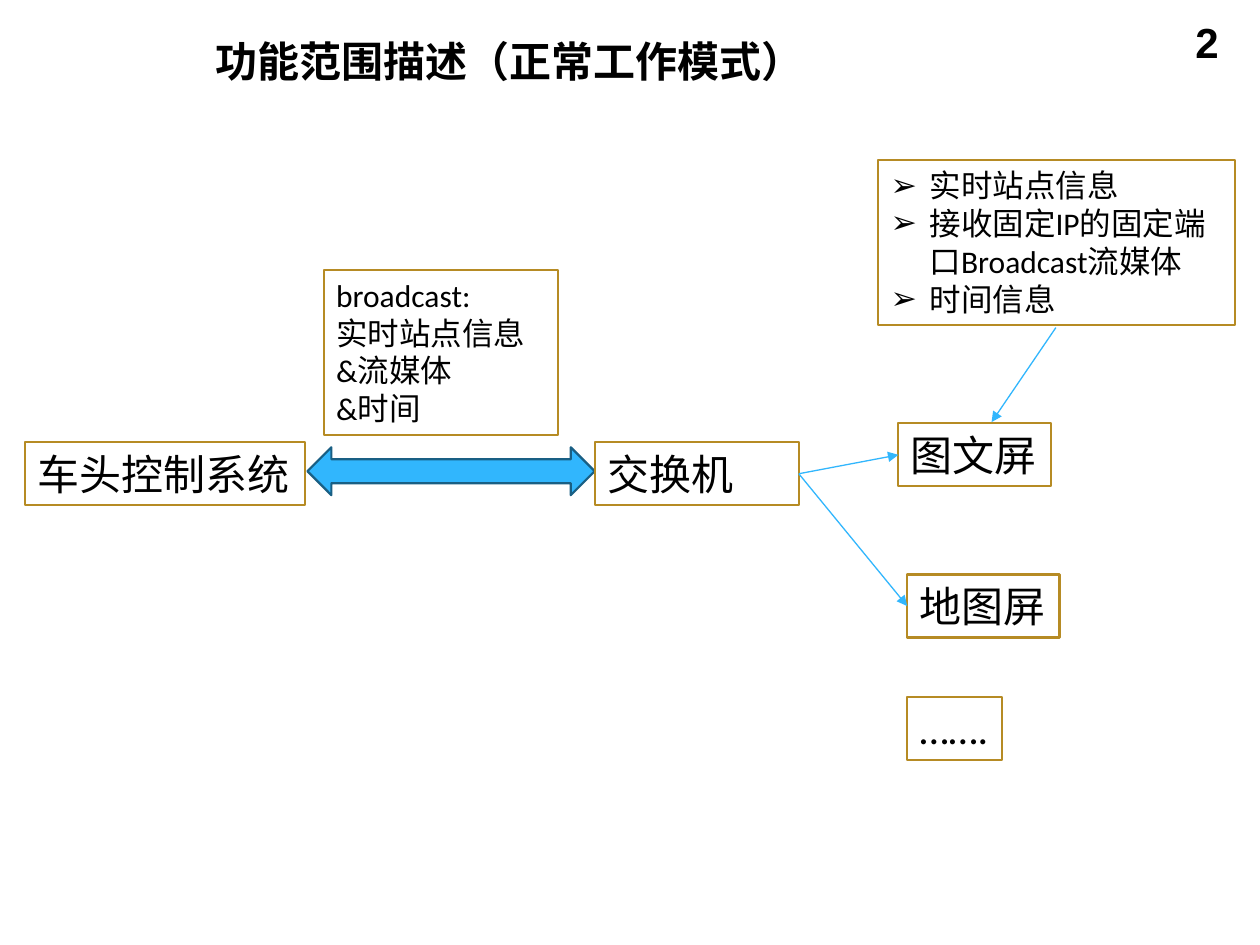
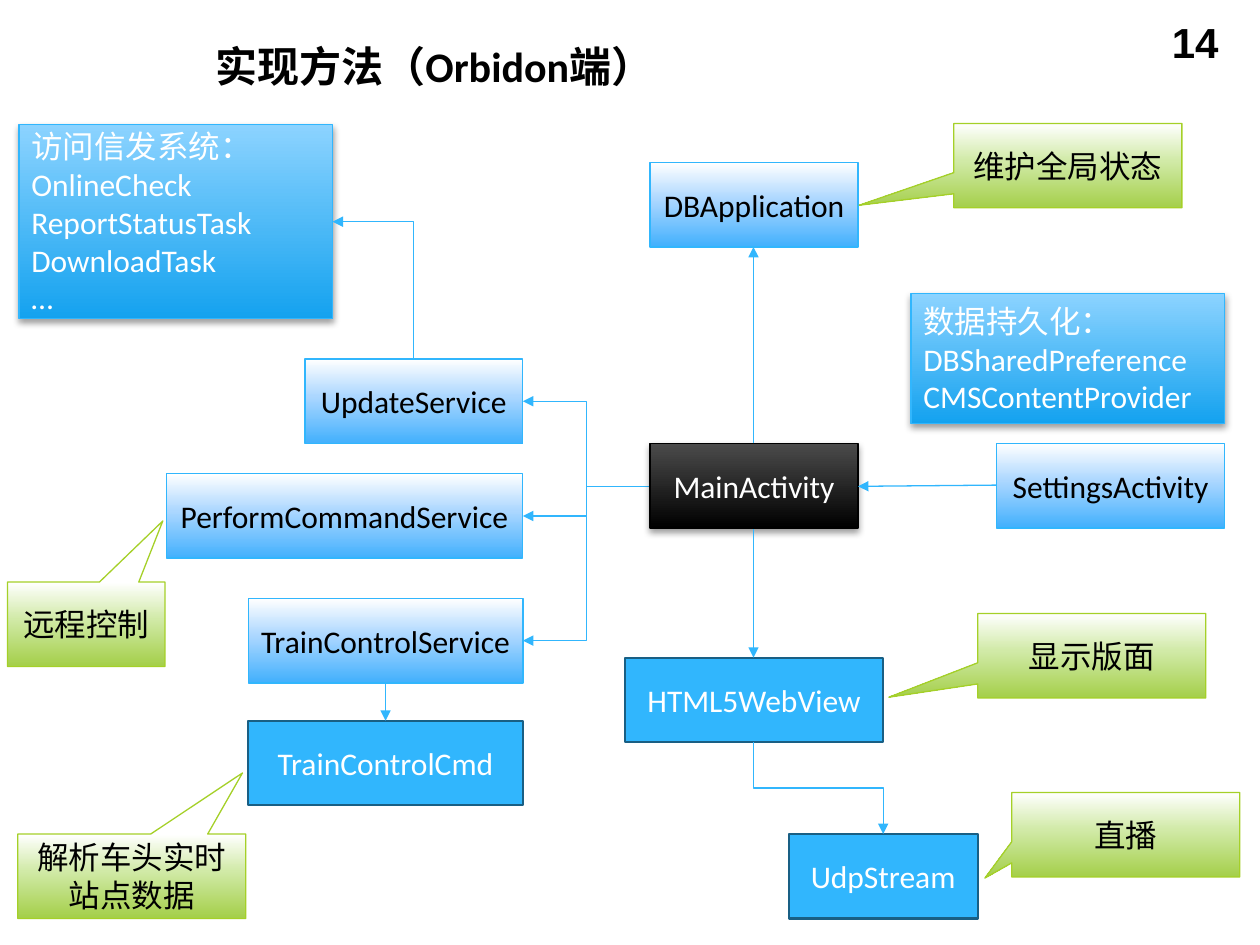
import dataclasses
import typing

import pptx
import pptx.dml.color
import pptx.enum.shapes
import pptx.enum.text
import pptx.oxml.ns
import pptx.util
from lxml import etree

Inches = pptx.util.Inches
Pt = pptx.util.Pt
qn = pptx.oxml.ns.qn
Kind = pptx.enum.shapes.MSO_SHAPE
Wire = pptx.enum.shapes.MSO_CONNECTOR
Align = pptx.enum.text.PP_ALIGN
Anchor = pptx.enum.text.MSO_ANCHOR
Fit = pptx.enum.text.MSO_AUTO_SIZE

BLUE, NAVY, GOLD, LIME = "31B6FD", "195F84", "B68B24", "A5D028"
BLACK, WHITE = "000000", "FFFFFF"
HIGH = 0.67


@dataclasses.dataclass
class Look:
    """Fill stops, outline and text colour of a box."""
    stops: list
    edge: str
    ink: str = BLACK
    width: float = 0.75
    shade: bool = False


PLAIN = Look([(0, WHITE)], GOLD, width=1.25)
SOLID = Look([(0, BLUE)], NAVY, WHITE, 1.25)
PALE = Look([(0, WHITE), (44, "ACD7FF"), (100, "42B0FD")], BLUE)
GREEN = Look([(0, WHITE), (44, "D1EAA7"), (100, "A4CF4A")], LIME)
DARK = Look([(0, "4B4B4B"), (100, BLACK)], BLACK, WHITE, shade=True)
SKY = Look([(0, "8CD3FF"), (100, "14A2EF")], BLUE, WHITE, shade=True)


def color(code):
    """Turn a hex string into a colour."""
    return pptx.dml.color.RGBColor.from_string(code)


def add(node, tag, **attrs):
    """Append an XML child with attributes."""
    return etree.SubElement(node, qn(tag), {k: str(v) for k, v in attrs.items()})


def write(frame, text, size, ink, face="Calibri", bold=False, align=Align.LEFT):
    """Fill a text frame and format its paragraphs."""
    frame.text = text
    for para in frame.paragraphs:
        para.alignment = align
        para.font.size = Pt(size)
        para.font.name = face
        para.font.bold = bold
        para.font.color.rgb = color(ink)


def paint(shape, look):
    """Apply a look to a shape."""
    shape.shadow.inherit = False
    props = shape._element.spPr
    if len(look.stops) == 1:
        shape.fill.solid()
        shape.fill.fore_color.rgb = color(look.stops[0][1])
    else:
        shape.fill.gradient()
        shape.fill.gradient_angle = 270
        stops = props.find(".//" + qn("a:gsLst"))
        for old in list(stops):
            stops.remove(old)
        for place, code in look.stops:
            add(add(stops, "a:gs", pos=place * 1000), "a:srgbClr", val=code)
    shape.line.color.rgb = color(look.edge)
    shape.line.width = Pt(look.width)
    if look.shade:
        cast = add(props.find(qn("a:effectLst")), "a:outerShdw", blurRad=Pt(4),
                   dist=Pt(2), dir=5400000, rotWithShape=0)
        add(add(cast, "a:srgbClr", val=BLACK), "a:alpha", val=38000)


@dataclasses.dataclass
class Area:
    """A region of a slide with its own origin."""
    slide: typing.Any
    x: float
    y: float

    def shape(self, kind, look, x, y, w, h):
        """Add a painted shape."""
        item = self.slide.shapes.add_shape(
            kind, Inches(self.x + x), Inches(self.y + y), Inches(w), Inches(h))
        paint(item, look)
        return item

    def label(self, text, x, y, w, h=0.5, size=24, wrap=False):
        """Add a gold-edged text box."""
        item = self.shape(Kind.RECTANGLE, PLAIN, x, y, w, h)
        frame = item.text_frame
        write(frame, text, size, BLACK)
        frame.vertical_anchor = Anchor.TOP
        frame.word_wrap = wrap
        frame.auto_size = Fit.SHAPE_TO_FIT_TEXT
        return item

    def step(self, text, look, x, y, w, h=HIGH, align=Align.CENTER,
             kind=Kind.FLOWCHART_PROCESS):
        """Add a flow box."""
        item = self.shape(kind, look, x, y, w, h)
        write(item.text_frame, text, 18, look.ink, align=align)
        item.text_frame.vertical_anchor = Anchor.MIDDLE
        return item

    def hint(self, text, x, y, tip, w=1.81):
        """Add a green callout."""
        item = self.step(text, GREEN, x, y, w, kind=Kind.RECTANGULAR_CALLOUT)
        item.adjustments[0], item.adjustments[1] = tip

    def link(self, start, end, kind=Wire.STRAIGHT):
        """Add an arrow between two points."""
        ends = [Inches(v) for v in (self.x + start[0], self.y + start[1],
                                    self.x + end[0], self.y + end[1])]
        line = self.slide.shapes.add_connector(kind, *ends)
        line.line.color.rgb = color(BLUE)
        line.line.width = Pt(0.75)
        props = line._element.spPr
        add(props.find(qn("a:ln")), "a:tailEnd", type="triangle")
        add(props, "a:effectLst")
        return line

    def drop(self, start, end, bend="bentConnector3"):
        """Add an elbow arrow that leaves its start vertically."""
        line = self.link(start, end, Wire.ELBOW)
        wide, tall = line.width, line.height
        line.left += (wide - tall) // 2
        line.top += (tall - wide) // 2
        line.width, line.height = tall, wide
        props = line._element.spPr
        props.find(qn("a:prstGeom")).set("prst", bend)
        frame = props.find(qn("a:xfrm"))
        frame.set("rot", "16200000")
        frame.set("flipH", str(int(end[1] > start[1])))
        frame.set("flipV", str(int(end[0] < start[0])))


def page(deck, title, number, top, width, face):
    """Add a slide with its title and page number."""
    slide = deck.slides.add_slide(deck.slide_layouts[5])
    head = slide.shapes.title
    head.left, head.top = Inches(1.61), Inches(top)
    head.width, head.height = Inches(width), Inches(0.55)
    write(head.text_frame, title, 24, BLACK, face, True)
    head.text_frame.vertical_anchor = Anchor.MIDDLE
    head.text_frame.auto_size = Fit.NONE
    mark = slide.shapes.add_textbox(
        Inches(7.44), Inches(0.08), Inches(2.33), Inches(0.52))
    mark.text_frame.word_wrap = True
    write(mark.text_frame, number, 24, BLACK, "Arial", True, Align.RIGHT)
    return slide


def trunk(area):
    """Draw the control system, the switch and the traffic between them."""
    area.label("车头控制系统", 0, 1.37, 2.22)
    area.shape(Kind.LEFT_RIGHT_ARROW, SOLID, 2.24, 1.41, 2.28, 0.38)
    area.label("broadcast:\v实时站点信息&流媒体\v&时间",
               2.37, 0, 1.86, 1.31, 18, True)
    area.label("交换机", 4.52, 1.37, 1.62, wrap=True)


def screens(area):
    """Draw the screens fed by the switch and their bulleted note."""
    note = area.label("实时站点信息\n接收固定IP的固定端口Broadcast流媒体\n时间信息",
                      0.63, 0, 2.83, 1.31, 18, True)
    for para in note.text_frame.paragraphs:
        props = para._p.get_or_add_pPr()
        props.set("marL", str(Inches(0.31)))
        props.set("indent", str(-Inches(0.31)))
        props.insert(0, etree.Element(qn("a:buFont"), typeface="Arial"))
        props.insert(1, etree.Element(qn("a:buChar"), char="➢"))
    area.label("图文屏", 0.79, 2.09, 1.21)
    area.label("地图屏", 0.86, 3.29, 1.21)
    area.label("…….", 0.86, 4.26, 0.75)
    area.link((2.04, 1.33), (1.53, 2.08))
    for end in ((0.79, 2.34), (0.86, 3.54)):
        area.link((0, 2.49), end)


def services(area):
    """Draw the background services and what they reach."""
    edge = 4.15
    area.step("访问信发系统：\vOnlineCheck\vReportStatusTask\vDownloadTask\v…",
              SKY, 0.15, 0, 2.49, 1.54, Align.LEFT)
    for name, y, w in (("UpdateService", 1.86, 1.73),
                       ("PerformCommandService", 2.77, 2.83),
                       ("TrainControlService", 3.76, 2.18)):
        area.step(name, PALE, edge - w, y, w)
        area.link((5.16, 2.87), (edge, y + HIGH / 2), Wire.ELBOW)
    area.step("TrainControlCmd", SOLID, edge - 2.18, 4.73, 2.18)
    area.link((3.06, 4.43), (3.06, 4.73))
    area.drop((3.28, 1.86), (2.64, 0.77), "bentConnector2")
    area.hint("远程控制", 0.06, 3.63, (0.486, -1.224), 1.25)
    area.hint("解析车头实时站点数据", 0.14, 5.63, (0.486, -1.224))


def core(area):
    """Draw the main activity with its state, settings and views."""
    mid = 1.02
    for name, look, x, y, w in (("DBApplication", PALE, 0.2, 0.31, 1.65),
                                ("MainActivity", DARK, 0.2, 2.54, 1.65),
                                ("SettingsActivity", PALE, 2.95, 2.54, 1.81),
                                ("HTML5WebView", SOLID, 0, 4.24, 2.05),
                                ("UdpStream", SOLID, 1.3, 5.64, 1.5)):
        area.step(name, look, x, y, w)
    area.step("数据持久化：\vDBSharedPreference\vCMSContentProvider",
              SKY, 2.27, 1.35, 2.49, 1.03, Align.LEFT)
    area.link((mid, 2.54), (mid, 0.98))
    area.link((2.95, 2.87), (1.85, 2.88))
    area.link((mid, 3.22), (mid, 4.24))
    area.drop((mid, 4.91), (2.05, 5.64))
    area.hint("维护全局状态", 2.61, 0, (-0.915, 0.469))
    area.hint("显示版面", 2.8, 3.89, (-0.89, 0.491))
    area.hint("直播", 3.07, 5.31, (-0.618, 0.514))


def main():
    """Build and save the deck."""
    deck = pptx.Presentation()
    deck.slide_width, deck.slide_height = Inches(10), Inches(7.5)
    scope = page(deck, "功能范围描述（正常工作模式）", "2", 0.21, 8.19, "Arial")
    trunk(Area(scope, 0.2, 2.14))
    screens(Area(scope, 6.34, 1.27))
    method = page(deck, "实现方法（Orbidon端）", "14", 0.25, 7.85, "Calibri")
    services(Area(method, 0, 0.99))
    core(Area(method, 4.96, 0.98))
    deck.save("out.pptx")


if __name__ == "__main__":
    main()
